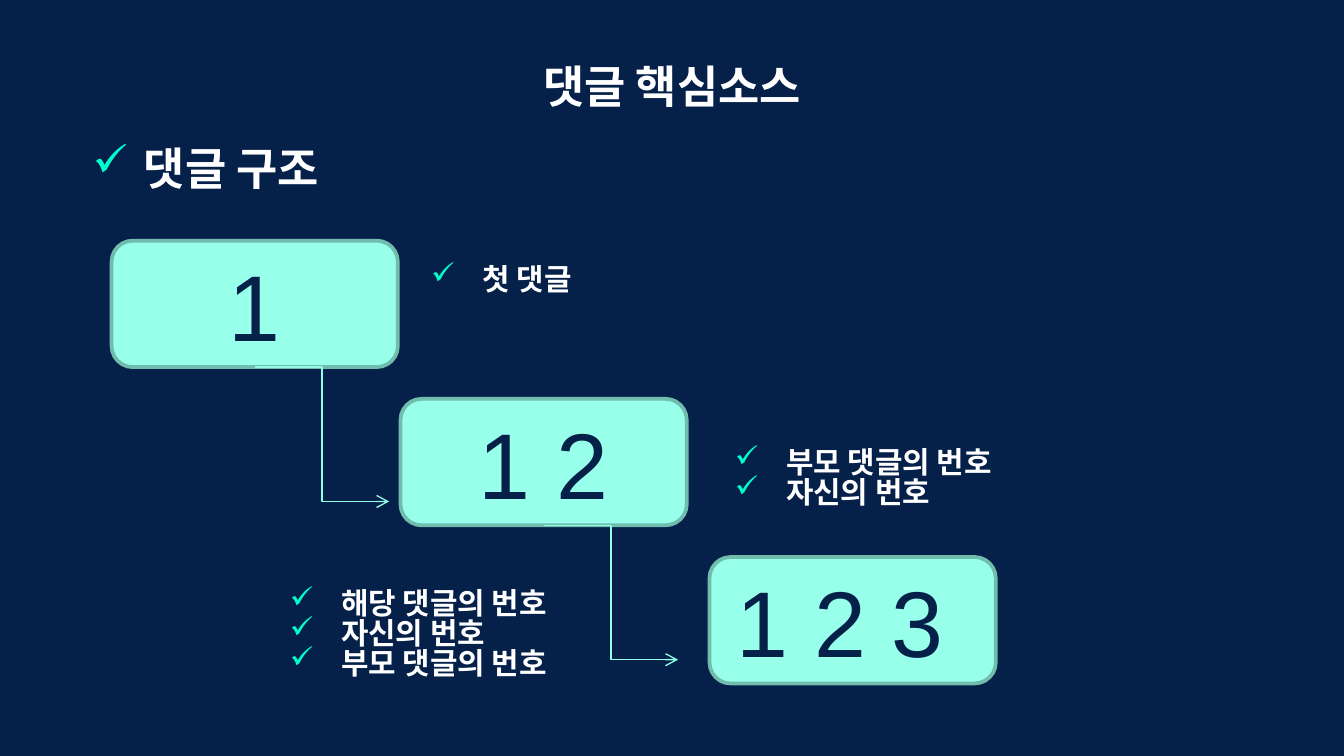
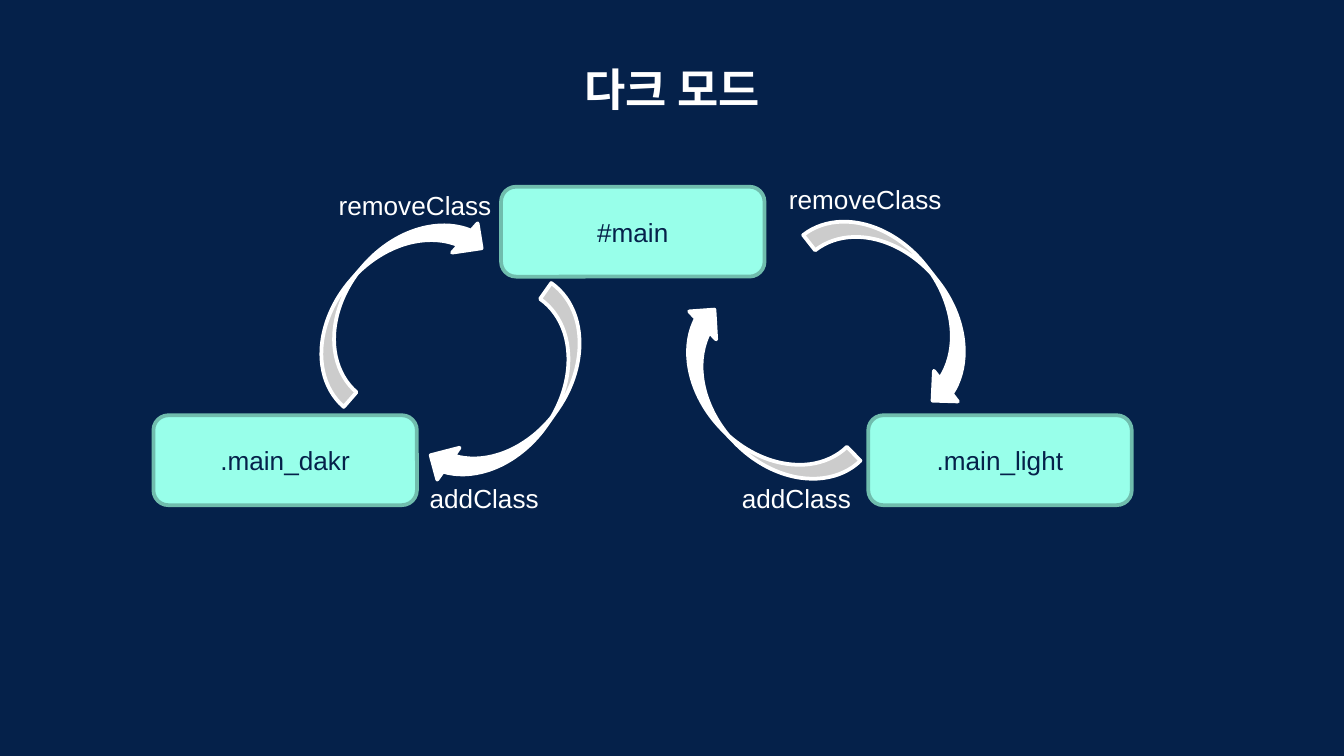
import pptx
import pptx.dml.color
import pptx.enum.shapes
import pptx.enum.text
import pptx.oxml.ns
import pptx.util
from lxml import etree

Cm = pptx.util.Cm
Pt = pptx.util.Pt
RGB = pptx.dml.color.RGBColor.from_string
qn = pptx.oxml.ns.qn
SHAPE = pptx.enum.shapes.MSO_SHAPE
ALIGN = pptx.enum.text.PP_ALIGN
ANCHOR = pptx.enum.text.MSO_ANCHOR

# Theme: colours, type and line widths
KOREAN, LATIN = "Noto Sans CJK KR", "Arial"
THEME = {
    "background": "05214A",
    "box": "98FFEA",
    "box_line": "70BDAD",
    "connector": "92FCE6",
    "check": "00FFCD",
    "white": "FFFFFF",
    "outline": Pt(2),
    "thin": Pt(0.75),
    "title": ({"name": KOREAN, "size": Pt(24), "bold": True}, "FFFFFF"),
    "note": ({"name": KOREAN, "size": Pt(16), "bold": True}, "FFFFFF"),
    "number": ({"name": LATIN, "size": Pt(50)}, "05214A"),
    "selector": ({"name": LATIN, "size": Pt(14)}, "05214A"),
    "label": ({"name": LATIN, "size": Pt(14)}, "FFFFFF"),
}


def write(sp, lines, style, align=ALIGN.LEFT, anchor=ANCHOR.TOP, check=False):
    """Fill a shape with one paragraph per line in a theme style."""
    font, colour = THEME[style]
    korean = font["name"] == KOREAN
    tf = sp.text_frame
    frame = {
        "word_wrap": True,
        "auto_size": pptx.enum.text.MSO_AUTO_SIZE.NONE,
        "vertical_anchor": anchor,
        "margin_left": Cm(0.25),
        "margin_right": Cm(0.25),
        "margin_top": Cm(0.3 if korean else 0.13),
        "margin_bottom": Cm(0.13),
    }
    for name, value in frame.items():
        setattr(tf, name, value)
    for i, line in enumerate(lines):
        p = tf.paragraphs[0] if i == 0 else tf.add_paragraph()
        p.alignment = align
        if check:
            pPr = p._p.get_or_add_pPr()
            pPr.set("marL", str(Cm(0.97)))
            pPr.set("indent", str(-Cm(0.97)))
            clr = etree.SubElement(pPr, qn("a:buClr"))
            etree.SubElement(clr, qn("a:srgbClr"), val=THEME["check"])
            etree.SubElement(pPr, qn("a:buChar"), char="✓")
        if korean:
            p.line_spacing = 0.83
        r = p.add_run()
        r.text = line
        for name, value in font.items():
            setattr(r.font, name, value)
        r.font.color.rgb = RGB(colour)
        if korean:
            etree.SubElement(r._r.get_or_add_rPr(), qn("a:ea"), typeface=KOREAN)


def draw(s, kind, place, fill, line):
    """Add a filled, outlined preset shape without shadow."""
    sp = s.shapes.add_shape(kind, *map(Cm, place))
    sp.shadow.inherit = False
    sp.fill.solid()
    sp.fill.fore_color.rgb = RGB(THEME[fill])
    sp.line.color.rgb = RGB(THEME[line])
    sp.line.width = THEME["outline"]
    return sp


prs = pptx.Presentation()
prs.slide_width, prs.slide_height = Cm(25.4), Cm(14.29)
prs.slide_master.background.fill.solid()
prs.slide_master.background.fill.fore_color.rgb = RGB(THEME["background"])

# Both slides with their titles
slides = []
for title, top in (("댓글 핵심소스", 0.99), ("다크 모드", 1.04)):
    s = prs.slides.add_slide(prs.slide_layouts[5])
    sp = s.shapes.title
    sp.left, sp.top, sp.width, sp.height = map(Cm, (5.46, top, 14.48, 1.75))
    write(sp, [title], "title", ALIGN.CENTER)
    slides.append(s)
comments, dark_mode = slides

# Comment structure: heading and notes
notes = [
    ((1.5, 2.54, 22.25, 3.4), "title", ["댓글 구조"]),
    ((7.9, 4.75, 4.93, 1.19), "note", ["첫 댓글"]),
    ((13.64, 8.2, 5.87, 1.73), "note", ["부모 댓글의 번호", "자신의 번호"]),
    ((5.23, 10.87, 6.07, 2.46), "note",
     ["해당 댓글의 번호", "자신의 번호", "부모 댓글의 번호"]),
]
for place, style, lines in notes:
    sp = comments.shapes.add_textbox(*map(Cm, place))
    write(sp, lines, style, check=True)

# Comment structure: staircase of numbered boxes
BOX_W, BOX_H, STEP, REACH = 5.41, 2.39, 2.99, 2.54
steps = [(2.11, "1"), (7.57, "1 2"), (13.41, "1 2 3")]
for i, (left, number) in enumerate(steps):
    top = 4.55 + i * STEP
    sp = draw(comments, SHAPE.ROUNDED_RECTANGLE, (left, top, BOX_W, BOX_H),
              "box", "box_line")
    write(sp, [number], "number", ALIGN.CENTER, ANCHOR.MIDDLE)
    if i == len(steps) - 1:
        sp.text_frame.margin_right = Cm(0.72)
        continue
    x, y = left + BOX_W / 2, top + BOX_H
    link = comments.shapes.add_connector(
        pptx.enum.shapes.MSO_CONNECTOR.ELBOW,
        *map(Cm, (x, y, x + REACH, y + REACH)))
    link.line.color.rgb = RGB(THEME["connector"])
    link.line.width = THEME["thin"]
    etree.SubElement(link.line._get_or_add_ln(), qn("a:tailEnd"), type="arrow")
    etree.SubElement(link._element.spPr, qn("a:effectLst"))

# Dark mode: selector boxes
selectors = [(9.47, 3.53, "#main"), (16.41, 7.85, ".main_light"),
             (2.9, 7.85, ".main_dakr")]
for left, top, selector in selectors:
    sp = draw(dark_mode, SHAPE.ROUNDED_RECTANGLE, (left, top, 4.98, 1.7),
              "box", "box_line")
    write(sp, [selector], "selector", ALIGN.CENTER, ANCHOR.MIDDLE)

# Dark mode: curved arrows between the boxes
arrows = [(16.36, 3.53, 322), (13.49, 5.49, 136), (9.04, 5.38, 35),
          (6.63, 3.4, 221)]
for left, top, angle in arrows:
    sp = draw(dark_mode, SHAPE.CURVED_LEFT_ARROW, (left, top, 1.47, 4.34),
              "white", "white")
    sp.rotation = angle

# Dark mode: arrow labels
labels = [(13.77, 8.99, 2.64, "addClass"), (7.87, 8.99, 2.64, "addClass"),
          (14.66, 3.33, 3.45, "removeClass"), (6.15, 3.45, 3.45, "removeClass")]
for left, top, width, label in labels:
    sp = dark_mode.shapes.add_textbox(*map(Cm, (left, top, width, 0.86)))
    write(sp, [label], "label")

prs.save("out.pptx")
